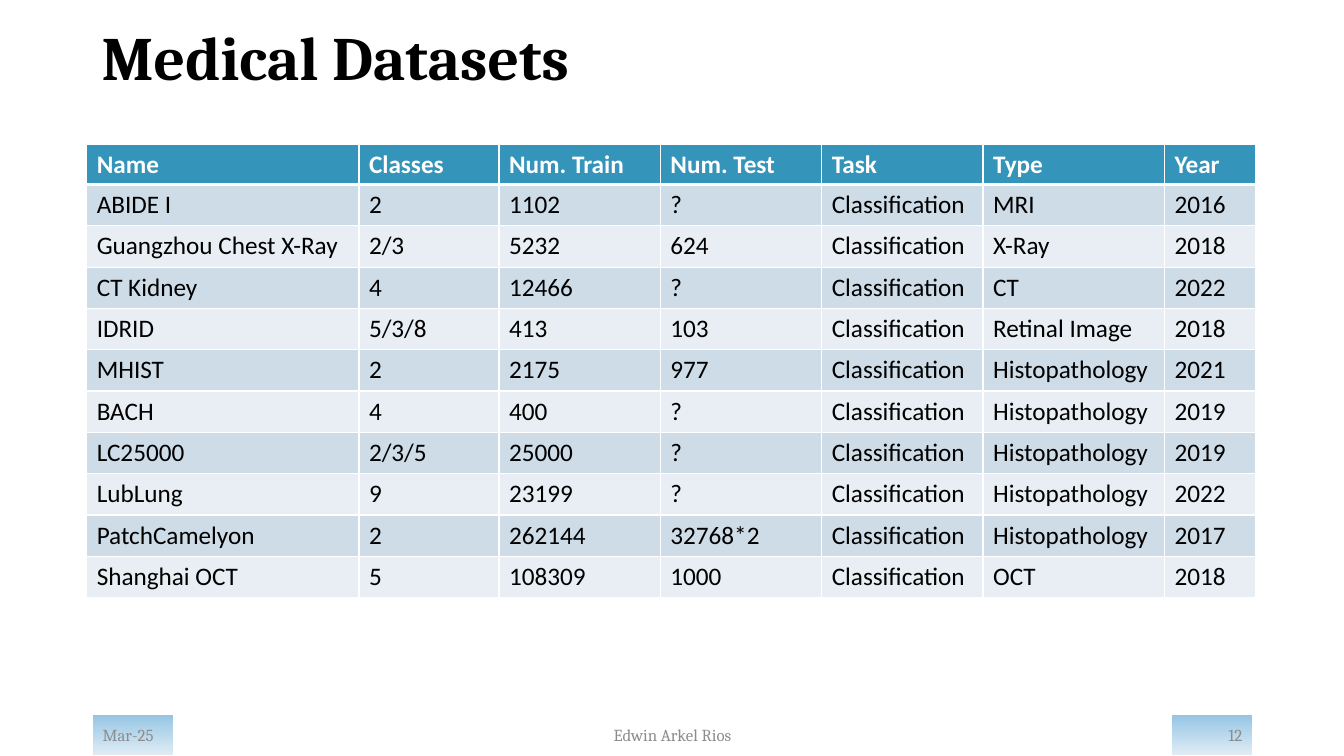
from lxml import etree
from pptx import Presentation
from pptx.dml.color import RGBColor
from pptx.enum import shapes, text
from pptx.oxml import ns
from pptx.util import Inches, Pt

BLACK = RGBColor(0x00, 0x00, 0x00)
WHITE = RGBColor(0xFF, 0xFF, 0xFF)
GREY = RGBColor(0x8C, 0x8C, 0x8C)
TEAL = RGBColor(0x34, 0x94, 0xBA)
BANDS = (RGBColor(0xE8, 0xEE, 0xF3), RGBColor(0xCE, 0xDC, 0xE7))
BADGE_TOP = RGBColor(0x94, 0xC5, 0xE4)
BADGE_BOTTOM = RGBColor(0xE0, 0xEC, 0xF5)

COLUMN_WIDTHS = (2.7, 1.39, 1.6, 1.6, 1.6, 1.8, 0.9)
HEADER = ("Name", "Classes", "Num. Train", "Num. Test", "Task", "Type", "Year")
TASK = "Classification"
DATASETS = (
    ("ABIDE I", "2", "1102", "?", TASK, "MRI", "2016"),
    ("Guangzhou Chest X-Ray", "2/3", "5232", "624", TASK, "X-Ray", "2018"),
    ("CT Kidney", "4", "12466", "?", TASK, "CT", "2022"),
    ("IDRID", "5/3/8", "413", "103", TASK, "Retinal Image", "2018"),
    ("MHIST", "2", "2175", "977", TASK, "Histopathology", "2021"),
    ("BACH", "4", "400", "?", TASK, "Histopathology", "2019"),
    ("LC25000", "2/3/5", "25000", "?", TASK, "Histopathology", "2019"),
    ("LubLung", "9", "23199", "?", TASK, "Histopathology", "2022"),
    ("PatchCamelyon", "2", "262144", "32768*2", TASK, "Histopathology", "2017"),
    ("Shanghai OCT", "5", "108309", "1000", TASK, "OCT", "2018"),
)


def style_run(p, size, font, color, bold=False):
    r = p.runs[0]
    r.font.size = Pt(size)
    r.font.name = font
    r.font.bold = bold
    r.font.color.rgb = color


def set_text(sp, words, size, color, align=text.PP_ALIGN.LEFT, bold=False):
    tf = sp.text_frame
    tf.word_wrap = True
    tf.vertical_anchor = text.MSO_ANCHOR.MIDDLE
    tf.text = words
    p = tf.paragraphs[0]
    p.alignment = align
    style_run(p, size, "Cambria", color, bold)
    return p


def add_label(s, box, *args, **kwargs):
    sp = s.shapes.add_textbox(*map(Inches, box))
    return set_text(sp, *args, **kwargs)


def add_badge(s, left, words, align):
    box = map(Inches, (left, 7.09, 0.8, 0.4))
    sp = s.shapes.add_shape(shapes.MSO_SHAPE.RECTANGLE, *box)
    sp.shadow.inherit = False
    sp.line.fill.background()
    sp.fill.gradient()
    sp.fill.gradient_angle = 270
    for stop, color in zip(sp.fill.gradient_stops, (BADGE_TOP, BADGE_BOTTOM)):
        stop.color.rgb = color
    sp.fill.gradient_stops[0].position = 0
    sp.fill.gradient_stops[1].position = 1
    set_text(sp, words, 12, GREY, align)


def set_borders(cell, top, bottom):
    tc_pr = cell._tc.get_or_add_tcPr()
    for side, width in (("L", 1), ("R", 1), ("T", top), ("B", bottom)):
        ln = etree.SubElement(tc_pr, ns.qn(f"a:ln{side}"), w=str(Pt(width)))
        fill = etree.SubElement(ln, ns.qn("a:solidFill"))
        etree.SubElement(fill, ns.qn("a:srgbClr"), val=str(WHITE))


def add_dataset_table(s):
    rows = (HEADER,) + DATASETS
    frame = s.shapes.add_table(len(rows), len(HEADER), Inches(0.86),
                               Inches(1.43), Inches(11.6), Inches(4.46))
    table = frame.table
    for column, width in zip(table.columns, COLUMN_WIDTHS):
        column.width = Inches(width)
    for i, values in enumerate(rows):
        header = i == 0
        table.rows[i].height = Inches(0.3 if header else 0.41)
        for j, value in enumerate(values):
            cell = table.cell(i, j)
            set_borders(cell, 3 if i == 1 else 1, 3 if header else 1)
            cell.fill.solid()
            cell.fill.fore_color.rgb = TEAL if header else BANDS[i % 2]
            cell.text_frame.text = value
            style_run(cell.text_frame.paragraphs[0], 18, "Calibri",
                      WHITE if header else BLACK, header)


def main():
    prs = Presentation()
    prs.slide_width = Inches(13.33)
    prs.slide_height = Inches(7.5)
    s = prs.slides.add_slide(prs.slide_layouts[6])
    title = add_label(s, (0.91, 0.17, 11.5, 0.87), "Medical Datasets", 44,
                      BLACK, bold=True)
    title.line_spacing = 0.9
    add_dataset_table(s)
    add_badge(s, 0.92, "Mar-25", text.PP_ALIGN.LEFT)
    add_label(s, (4.42, 7.09, 4.5, 0.4), "Edwin Arkel Rios", 12, GREY,
              text.PP_ALIGN.CENTER)
    add_badge(s, 11.62, "12", text.PP_ALIGN.RIGHT)
    prs.save("out.pptx")


if __name__ == "__main__":
    main()
